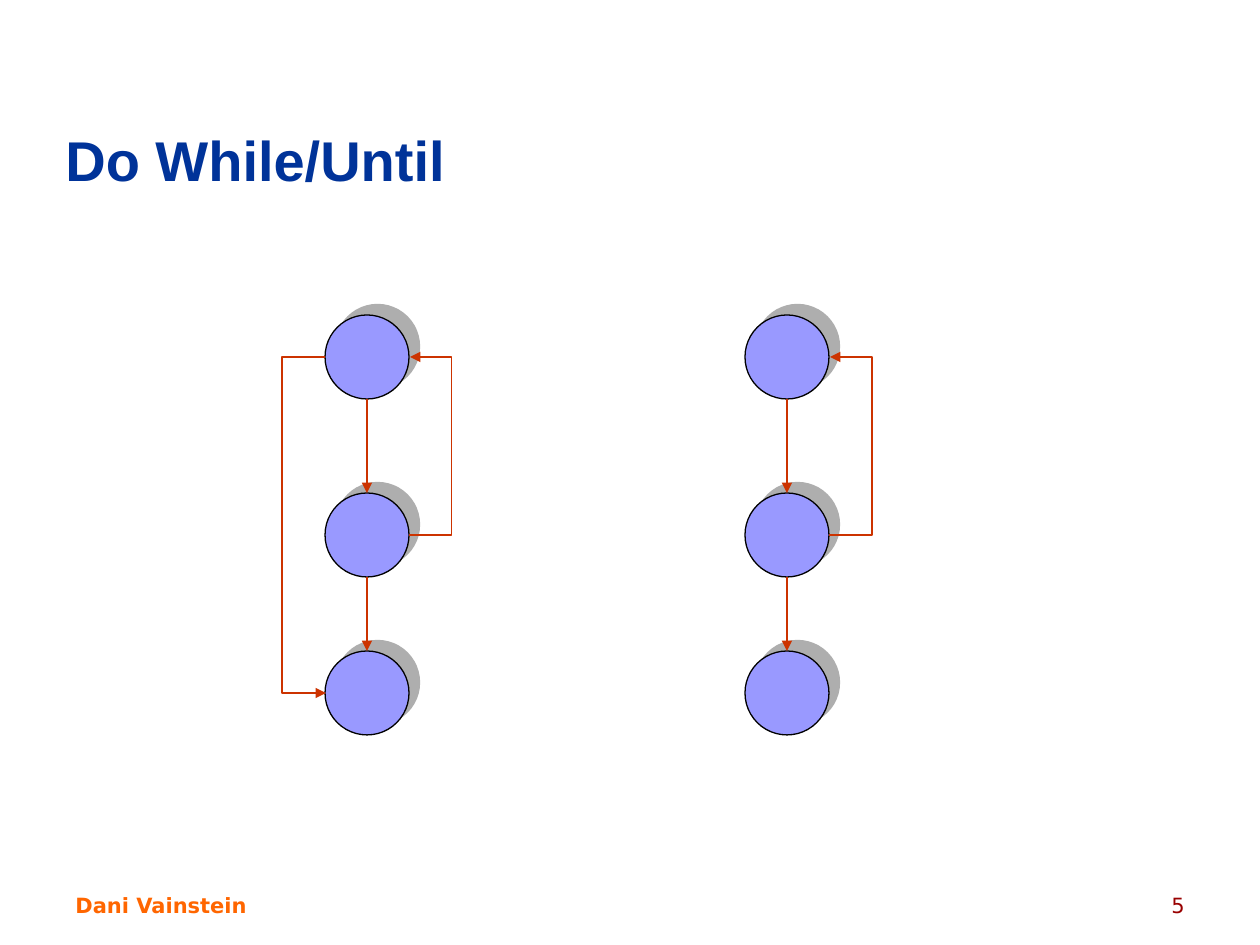
import dataclasses

import pptx
import pptx.dml.color
import pptx.enum.shapes
import pptx.enum.text
import pptx.oxml
import pptx.oxml.ns
import pptx.util

EMU_PER_PX = 914400 / 126
ALIGN = pptx.enum.text.PP_ALIGN
CONNECTOR = pptx.enum.shapes.MSO_CONNECTOR
NAMESPACE = pptx.oxml.ns.nsdecls("a")


def px(length):
    return pptx.util.Emu(round(length * EMU_PER_PX))


def rgb(color):
    return pptx.dml.color.RGBColor.from_string(color)


@dataclasses.dataclass(frozen=True)
class Theme:
    title: str = "003399"
    author: str = "FF6600"
    number: str = "990000"
    node: str = "9999FF"
    outline: str = "000000"
    shadow: str = "5F5F5F"
    arrow: str = "CC3300"
    title_font: str = "Arial"
    footer_font: str = "DejaVu Sans"
    title_size: int = 32
    footer_size: int = 12
    outline_width: float = 0.75


class SlideBuilder:
    def __init__(self, slide, theme):
        self.slide = slide
        self.theme = theme

    def text(self, box, words, font, size, color, bold=False, align=ALIGN.LEFT):
        shape = self.slide.shapes.add_textbox(*map(px, box))
        frame = shape.text_frame
        frame.word_wrap = True
        frame.vertical_anchor = pptx.enum.text.MSO_ANCHOR.BOTTOM
        paragraph = frame.paragraphs[0]
        paragraph.alignment = align
        run = paragraph.add_run()
        run.text = words
        run.font.name = font
        run.font.size = pptx.util.Pt(size)
        run.font.bold = bold
        run.font.color.rgb = rgb(color)

    def group(self):
        return self.slide.shapes.add_group_shape()

    def node(self, group, left, top, diameter):
        shape = group.shapes.add_shape(
            pptx.enum.shapes.MSO_SHAPE.OVAL, px(left), px(top), px(diameter), px(diameter))
        shape.fill.solid()
        shape.fill.fore_color.rgb = rgb(self.theme.node)
        shape.line.color.rgb = rgb(self.theme.outline)
        shape.line.width = pptx.util.Pt(self.theme.outline_width)
        shape._element.spPr.append(pptx.oxml.parse_xml(
            f'<a:effectLst {NAMESPACE}><a:outerShdw dist="{pptx.util.Pt(8.5)}" dir="18900000" '
            f'algn="ctr" rotWithShape="0"><a:srgbClr val="{self.theme.shadow}">'
            '<a:alpha val="50000"/></a:srgbClr></a:outerShdw></a:effectLst>'))

    def arrow(self, group, start, end, width=1, kind=CONNECTOR.STRAIGHT):
        connector = group.shapes.add_connector(kind, *map(px, (*start, *end)))
        connector.line.color.rgb = rgb(self.theme.arrow)
        connector.line.width = pptx.util.Pt(width)
        connector.line._get_or_add_ln().append(
            pptx.oxml.parse_xml(f'<a:tailEnd {NAMESPACE} type="triangle"/>'))
        connector._element.spPr.append(pptx.oxml.parse_xml(f"<a:effectLst {NAMESPACE}/>"))
        return connector

    def loop(self, group, x, start_y, end_y, reach):
        connector = self.arrow(group, (x, start_y), (x + 1, end_y), kind=CONNECTOR.ELBOW)
        guides = connector._element.spPr.prstGeom.get_or_add_avLst()
        guides.append(pptx.oxml.parse_xml(
            f'<a:gd {NAMESPACE} name="adj1" fmla="val {reach * 100000}"/>'))


def draw_flow(builder, left, entry_width, skips_body):
    diameter = 84
    reach = 43
    radius = diameter // 2
    tops = (315, 493, 651)
    right, center = left + diameter, left + radius
    test_y, body_y, exit_y = (top + radius for top in tops)
    group = builder.group()
    for top in tops:
        builder.node(group, left, top, diameter)
    for upper, lower, width in zip(tops, tops[1:], (entry_width, 1)):
        builder.arrow(group, (center, upper + diameter), (center, lower), width)
    builder.loop(group, right, body_y, test_y, reach)
    if skips_body:
        builder.loop(group, left, test_y, exit_y, -reach)


def main():
    presentation = pptx.Presentation()
    presentation.slide_width = px(1260)
    presentation.slide_height = px(945)
    slide = presentation.slides.add_slide(presentation.slide_layouts[6])
    theme = Theme()
    builder = SlideBuilder(slide, theme)
    builder.text((63, 861, 294, 63), "Dani Vainstein", theme.footer_font,
                 theme.footer_size, theme.author, bold=True)
    builder.text((903, 861, 294, 63), "5", theme.footer_font,
                 theme.footer_size, theme.number, align=ALIGN.RIGHT)
    builder.text((53, 105, 850, 94), "Do While/Until", theme.title_font,
                 theme.title_size, theme.title, bold=True)
    draw_flow(builder, 745, entry_width=1.5, skips_body=False)
    draw_flow(builder, 325, entry_width=1, skips_body=True)
    presentation.save("out.pptx")


if __name__ == "__main__":
    main()
